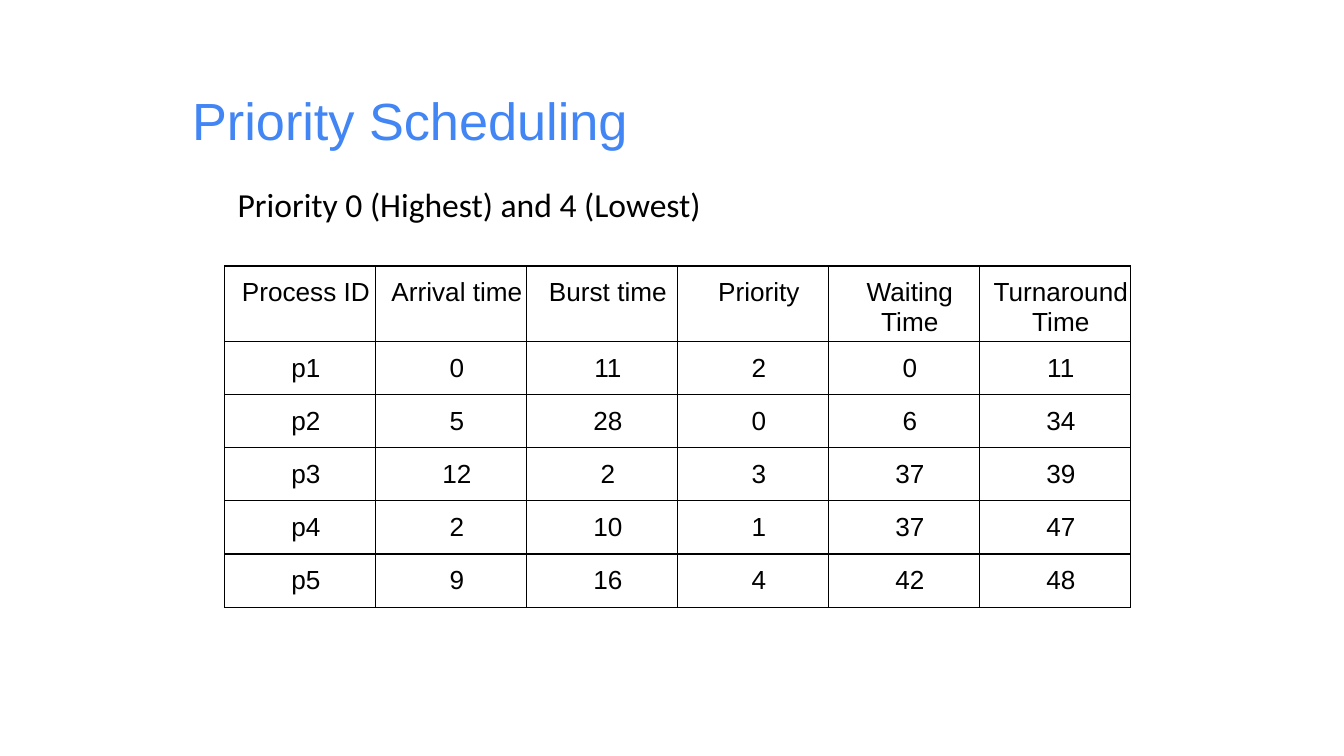
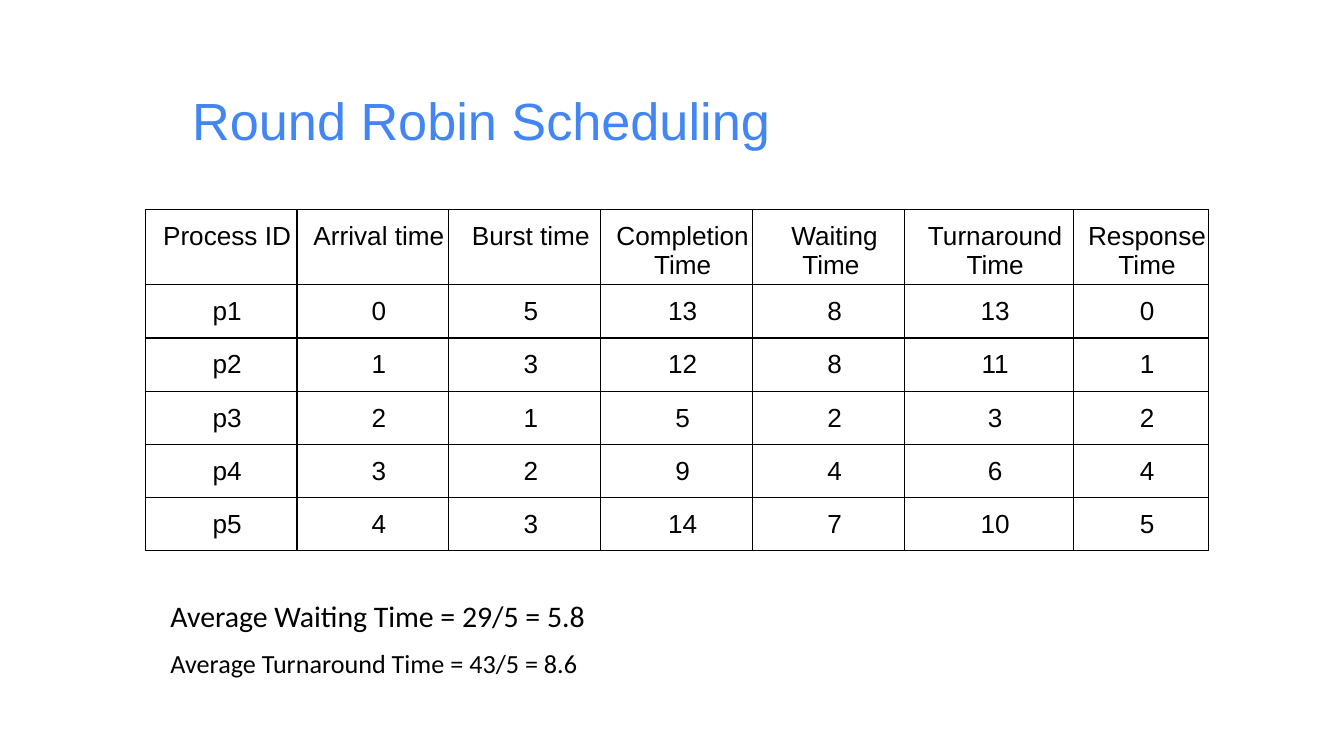
from lxml import etree
from pptx import Presentation
from pptx.dml.color import RGBColor
from pptx.enum import text
from pptx.oxml import ns
from pptx.util import Inches, Pt

COLORS = {"title": "4285F4", "ink": "000000"}
TABLE_H, HEADER_H = 2.54, 0.56

PRIORITY_ROWS = [
    ["Process ID", "Arrival time", "Burst time", "Priority", "Waiting Time", "Turnaround Time"],
    ["p1", 0, 11, 2, 0, 11],
    ["p2", 5, 28, 0, 6, 34],
    ["p3", 12, 2, 3, 37, 39],
    ["p4", 2, 10, 1, 37, 47],
    ["p5", 9, 16, 4, 42, 48],
]
ROUND_ROBIN_ROWS = [
    ["Process ID", "Arrival time", "Burst time", "Completion Time", "Waiting Time ",
     "Turnaround Time", "Response Time"],
    ["p1", 0, 5, 13, 8, 13, 0],
    ["p2", 1, 3, 12, 8, 11, 1],
    ["p3", 2, 1, 5, 2, 3, 2],
    ["p4", 3, 2, 9, 4, 6, 4],
    ["p5", 4, 3, 14, 7, 10, 5],
]


class Deck:
    def __init__(self):
        self.prs = Presentation()
        self.prs.slide_width = Inches(10)
        self.prs.slide_height = Inches(10 * 9 / 16)
        self.s = None

    def style(self, p, size, font, color="ink", before=None, indent=0):
        p.font.size, p.font.name = Pt(size), font
        p.font.color.rgb = RGBColor.from_string(COLORS[color])
        if before is not None:
            p.space_before = Pt(before)
        if indent:
            pPr = p._p.get_or_add_pPr()
            pPr.set("marL", str(Inches(indent)))
            pPr.set("indent", "0")

    def slide(self, title):
        """Start a slide with the shared title."""
        self.s = self.prs.slides.add_slide(self.prs.slide_layouts[6])
        tf = self.text(title, 1.42, 0.65, 7.08, 0.49, 28, "Arial",
                       color="title", before=1, indent=0.01)
        tf.margin_left = tf.margin_right = tf.margin_bottom = 0
        tf.margin_top = Inches(0.01)

    def text(self, words, x, y, w, h, size, font="Calibri", wrap=True, **style):
        sp = self.s.shapes.add_textbox(Inches(x), Inches(y), Inches(w), Inches(h))
        tf = sp.text_frame
        tf.word_wrap = wrap
        tf.auto_size = text.MSO_AUTO_SIZE.SHAPE_TO_FIT_TEXT
        tf.text = words
        self.style(tf.paragraphs[0], size, font, **style)
        return tf

    def border(self, cell):
        tcPr = cell._tc.get_or_add_tcPr()
        for i, side in enumerate(("lnL", "lnR", "lnT", "lnB")):
            ln = etree.Element(ns.qn("a:" + side), w=str(Pt(0.75)))
            fill = etree.SubElement(ln, ns.qn("a:solidFill"))
            etree.SubElement(fill, ns.qn("a:srgbClr"), val=COLORS["ink"])
            tcPr.insert(i, ln)

    def table(self, rows, x, y, widths):
        tbl = self.s.shapes.add_table(len(rows), len(widths), Inches(x), Inches(y),
                                      Inches(sum(widths)), Inches(TABLE_H)).table
        tbl.first_row = tbl.horz_banding = False
        row_h = (TABLE_H - HEADER_H) / (len(rows) - 1)
        for col, w in zip(tbl.columns, widths):
            col.width = Inches(w)
        for i, values in enumerate(rows):
            tbl.rows[i].height = Inches(row_h if i else HEADER_H)
            for j, value in enumerate(values):
                self.cell(tbl.cell(i, j), str(value))

    def cell(self, cell, words):
        cell.text = words
        cell.margin_left = cell.margin_right = cell.margin_bottom = 0
        cell.margin_top = Inches(0.09)
        cell.fill.background()
        self.border(cell)
        p = cell.text_frame.paragraphs[0]
        p.alignment = text.PP_ALIGN.CENTER
        self.style(p, 14, "Arial", before=6.2, indent=0.09)


def main():
    deck = Deck()

    deck.slide("Priority Scheduling")
    deck.table(PRIORITY_ROWS, 1.67, 1.98, [6.74 / 6] * 6)
    deck.text("Priority 0 (Highest) and 4 (Lowest)", 1.67, 1.32, 4.5, 0.4, 18)

    deck.slide("Round Robin Scheduling")
    deck.table(ROUND_ROBIN_ROWS, 1.08, 1.56, [1.13] * 5 + [1.26, 1])
    deck.text("Average Waiting Time = 29/5 = 5.8", 1.17, 4.4, 3.75, 0.37, 16)
    deck.text("Average Turnaround Time = 43/5 = 8.6", 1.17, 4.77, 3.26, 0.34, 14, wrap=False)

    deck.prs.save("out.pptx")


if __name__ == "__main__":
    main()
